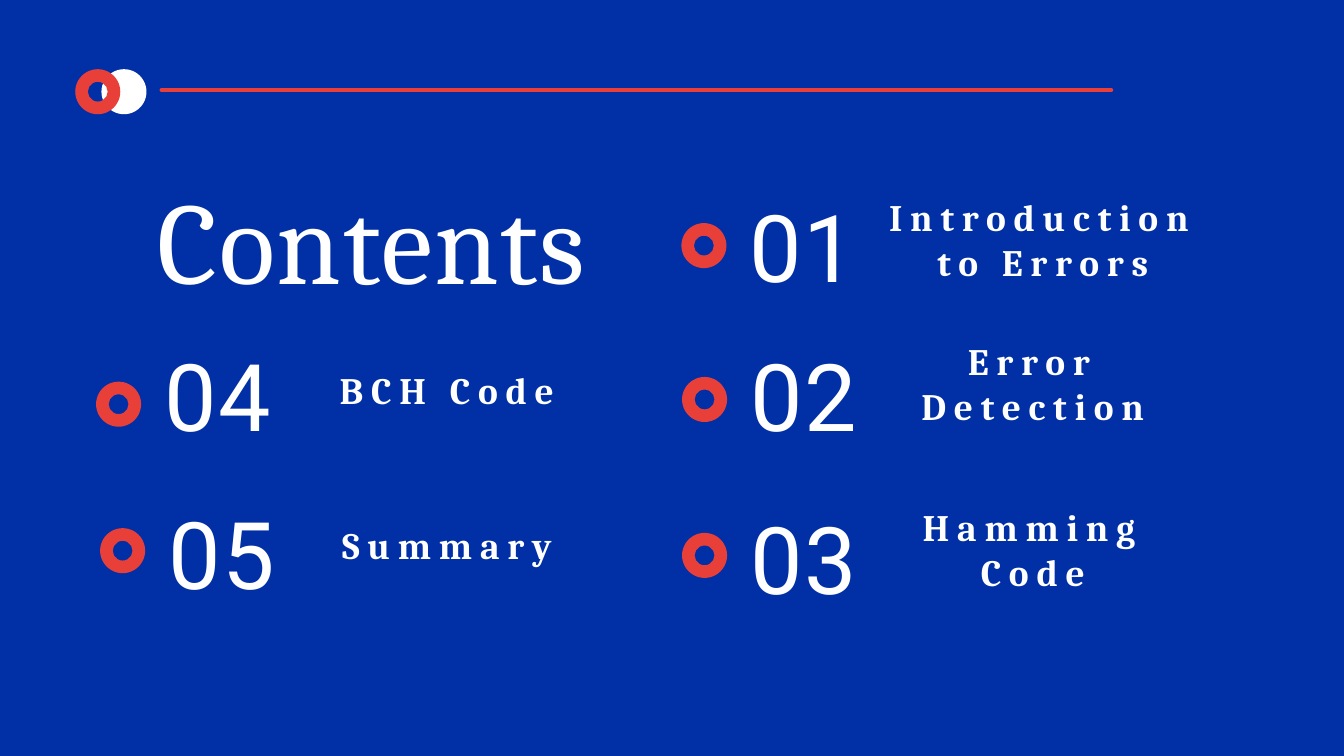
import pptx
import pptx.dml.color
import pptx.enum.shapes
import pptx.enum.text
import pptx.oxml.ns
import pptx.util
from lxml import etree

BLUE = pptx.dml.color.RGBColor(0x01, 0x30, 0xA6)
RED = pptx.dml.color.RGBColor(0xE9, 0x3F, 0x39)
WHITE = pptx.dml.color.RGBColor(0xFF, 0xFF, 0xFF)

# The slide is a grid of 20 columns by 11.25 rows, each one inch
UNIT = pptx.util.Inches(1)
COLUMNS, ROWS = 20, 11.25
RING = 0.67
NUMBER_OFFSET = 1.02
LABEL_WIDTH, LABEL_LINE = 4.68, 0.67

ALIGN = pptx.enum.text.PP_ALIGN
SHAPE = pptx.enum.shapes.MSO_SHAPE

# Ring column and row, number, number row, label, label column and row, label lines
ENTRIES = [
    (10.14, 3.32, "01", 2.77, "Introduction to Errors", 13.18, 2.89, 2),
    (10.15, 5.61, "02", 4.99, "Error Detection", 13.03, 5.03, 2),
    (10.15, 7.93, "03", 7.41, "Hamming Code", 13.03, 7.5, 2),
    (1.43, 5.68, "04", 4.99, "BCH Code", 4.31, 5.46, 1),
    (1.49, 7.86, "05", 7.34, "Summary", 4.31, 7.77, 1),
]


def grid(*lengths):
    return [round(length * UNIT) for length in lengths]


def write_text(shape, text, font_name, size, spacing, alignment,
               line_height=None, bold=False):
    frame = shape.text_frame
    frame.margin_left = frame.margin_right = 0
    frame.margin_top = frame.margin_bottom = 0
    frame.word_wrap = True
    frame.auto_size = pptx.enum.text.MSO_AUTO_SIZE.NONE
    frame.vertical_anchor = pptx.enum.text.MSO_ANCHOR.TOP
    paragraph = frame.paragraphs[0]
    paragraph.alignment = alignment
    paragraph.space_before = pptx.util.Pt(0)
    if line_height:
        paragraph.line_spacing = pptx.util.Pt(line_height)
    run = paragraph.add_run()
    run.text = text
    run.font.name = font_name
    run.font.size = pptx.util.Pt(size)
    run.font.bold = bold
    run.font.color.rgb = WHITE
    # Letter spacing, in hundredths of a point
    run._r.get_or_add_rPr().set("spc", str(round(spacing * 100)))


def add_disc(slide, preset, column, row, color):
    disc = slide.shapes.add_shape(preset, *grid(column, row, RING, RING))
    disc.shadow.inherit = False
    disc.fill.solid()
    disc.fill.fore_color.rgb = color
    disc.line.fill.background()
    return disc


def add_ring(slide, column, row):
    ring = add_disc(slide, SHAPE.DONUT, column, row, RED)
    ring.adjustments[0] = 0.28


def add_header(slide, column, row, width):
    # Overlapping disc and ring, then the rule
    add_disc(slide, SHAPE.OVAL, column + 0.39, row, WHITE)
    add_ring(slide, column, row)
    middle = row + 0.31
    rule = slide.shapes.add_connector(
        pptx.enum.shapes.MSO_CONNECTOR.STRAIGHT,
        *grid(column + 1.28, middle, column + width, middle))
    rule.line.color.rgb = RED
    rule.line.width = pptx.util.Pt(3.75)
    rule.line._get_or_add_ln().set("cap", "rnd")
    etree.SubElement(rule._element.spPr, pptx.oxml.ns.qn("a:effectLst"))


def add_title(slide, column, row, width, height):
    title = slide.shapes.title
    title.left, title.top, title.width, title.height = grid(column, row, width, height)
    write_text(title, "Contents", "Cambria", 124.4, 1.9, ALIGN.LEFT, line_height=205.2)


def add_entry(slide, column, row, number, number_row,
              label, label_column, label_row, label_lines):
    add_ring(slide, column, row)
    number_box = slide.shapes.add_textbox(
        *grid(column + NUMBER_OFFSET, number_row, 2.25, 1.69))
    write_text(number_box, number, "Roboto", 100, 1.5, ALIGN.JUSTIFY, line_height=123)
    label_box = slide.shapes.add_textbox(
        *grid(label_column, label_row, LABEL_WIDTH, label_lines * LABEL_LINE))
    write_text(label_box, label, "Cambria", 40, 8.4, ALIGN.CENTER, bold=True)


def main():
    presentation = pptx.Presentation()
    presentation.slide_width, presentation.slide_height = grid(COLUMNS, ROWS)
    slide = presentation.slides.add_slide(presentation.slide_layouts.get_by_name("Title Only"))
    slide.background.fill.solid()
    slide.background.fill.fore_color.rgb = BLUE
    add_title(slide, 2.34, 1.73, 8.87, 2.65)
    add_header(slide, 1.12, 1.03, 15.42)
    for entry in ENTRIES:
        add_entry(slide, *entry)
    presentation.save("out.pptx")


if __name__ == "__main__":
    main()
